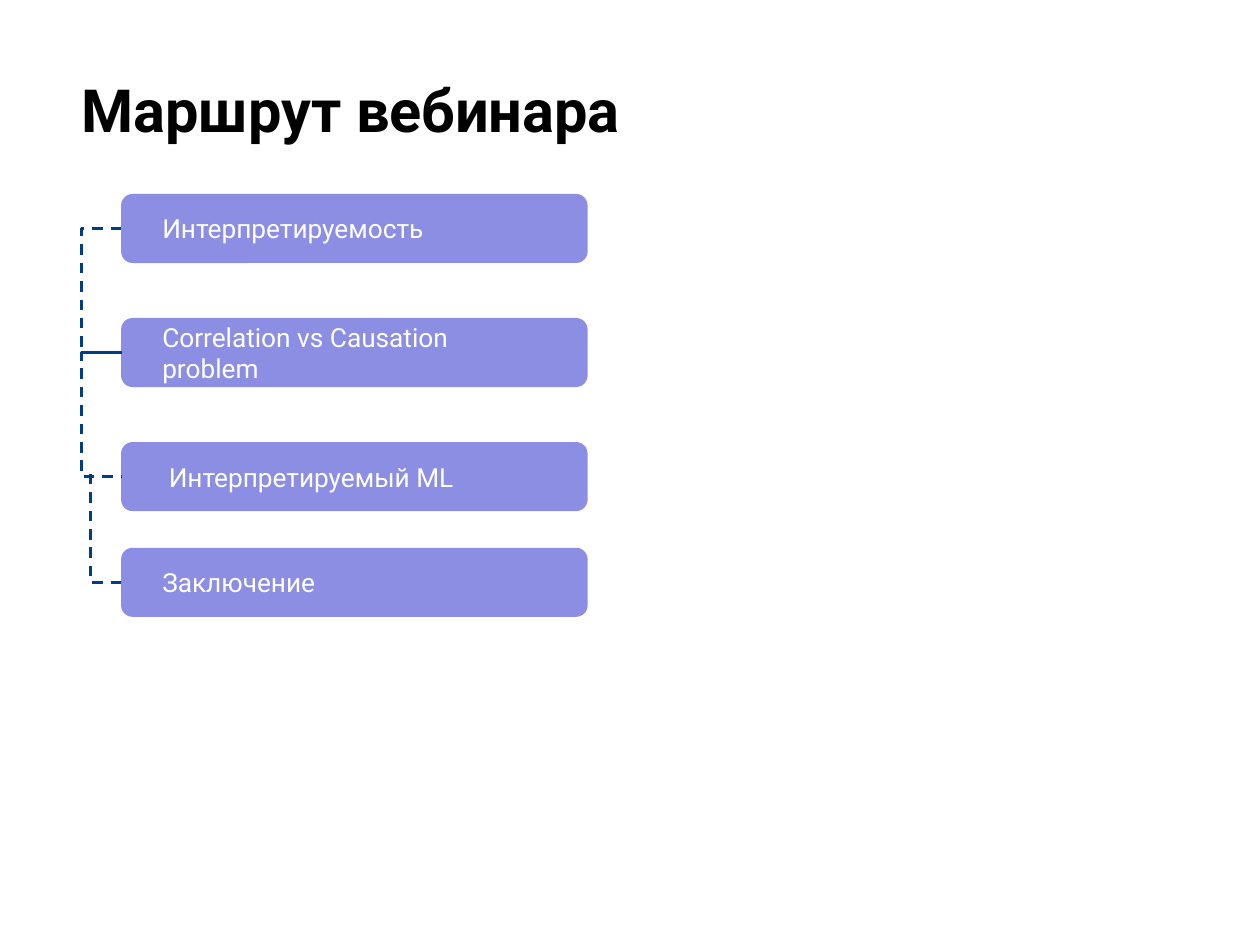
import pptx
import pptx.util
import pptx.dml.color
import pptx.enum.dml
import pptx.enum.shapes
import pptx.enum.text
import pptx.oxml

Pt = pptx.util.Pt
FONT = "Roboto"
COLORS = {"title": "000000", "step": "8B8EE3", "step_text": "FFFFFF", "route": "013D85"}
STEPS = [
    "Интерпретируемость",
    "Correlation vs Causation problem",
    " Интерпретируемый ML",
    "Заключение",
]
STEP_HEIGHT = 39.5
STEP_PITCH = 70.9
LAST_PITCH = 60.4
SLIVER = 0.05  # an elbow needs some width for its bend to be a share of it


def rgb(name):
    return pptx.dml.color.RGBColor.from_string(COLORS[name])


def write(shape, text, size, color, inset, bold=False):
    frame = shape.text_frame
    frame.word_wrap = True
    frame.margin_left = frame.margin_right = Pt(inset)
    frame.margin_top = frame.margin_bottom = Pt(7.2)
    frame.text = text
    para = frame.paragraphs[0]
    para.alignment = pptx.enum.text.PP_ALIGN.LEFT
    font = para.runs[0].font
    font.name, font.size, font.bold = FONT, Pt(size), bold
    font.color.rgb = rgb(color)
    return frame


def add_title(page, left, top, width, height):
    box = page.shapes.add_textbox(Pt(left), Pt(top), Pt(width), Pt(height))
    write(box, "Маршрут вебинара", 34, "title", 7.2, bold=True)


def add_step(page, text, left, top, width):
    box = page.shapes.add_shape(
        pptx.enum.shapes.MSO_SHAPE.ROUNDED_RECTANGLE,
        Pt(left), Pt(top), Pt(width), Pt(STEP_HEIGHT))
    box.shadow.inherit = False
    box.fill.solid()
    box.fill.fore_color.rgb = rgb("step")
    box.line.fill.background()
    frame = write(box, text, 15, "step_text", 21.6)
    frame.margin_left = Pt(21.6)
    frame.vertical_anchor = pptx.enum.text.MSO_ANCHOR.MIDDLE


def add_elbow(page, start, end, bend):
    """Draw a dashed elbow whose upright stands at bend, measured from the start."""
    line = page.shapes.add_connector(
        pptx.enum.shapes.MSO_CONNECTOR.ELBOW, *(Pt(value) for value in start + end))
    line.line.color.rgb = rgb("route")
    line.line.width = Pt(1.5)
    line.line.dash_style = pptx.enum.dml.MSO_LINE.DASH
    properties = line._element.spPr
    share = round(bend / (end[0] - start[0]) * 100000)
    guides = properties.prstGeom.get_or_add_avLst()
    guide = pptx.oxml.parse_xml(
        '<a:gd xmlns:a="http://schemas.openxmlformats.org/drawingml/2006/main" '
        f'name="adj1" fmla="val {share}"/>')
    guides.append(guide)
    properties.append(pptx.oxml.parse_xml(
        '<a:effectLst xmlns:a="http://schemas.openxmlformats.org/drawingml/2006/main"/>'))


def add_route(page, left, top, width):
    tops = [top + STEP_PITCH * index for index in range(len(STEPS) - 1)]
    tops.append(tops[-1] + LAST_PITCH)
    for text, step_top in zip(STEPS, tops):
        add_step(page, text, left, step_top, width)

    middles = [step_top + STEP_HEIGHT / 2 for step_top in tops]
    for upper, lower in zip(middles[:-2], middles[1:-1]):
        add_elbow(page, (left, upper), (left + SLIVER, lower), -19.84)
    add_elbow(page, (left - 17.5, middles[-2] - 1.6), (left, middles[-1]), 0)


def main():
    deck = pptx.Presentation()
    deck.slide_width, deck.slide_height = Pt(720), Pt(540)
    page = deck.slides.add_slide(deck.slide_layouts[6])
    add_title(page, 39.6, 34.6, 671, 103)
    add_route(page, 69.2, 110.8, 266.6)
    deck.save("out.pptx")


if __name__ == "__main__":
    main()
